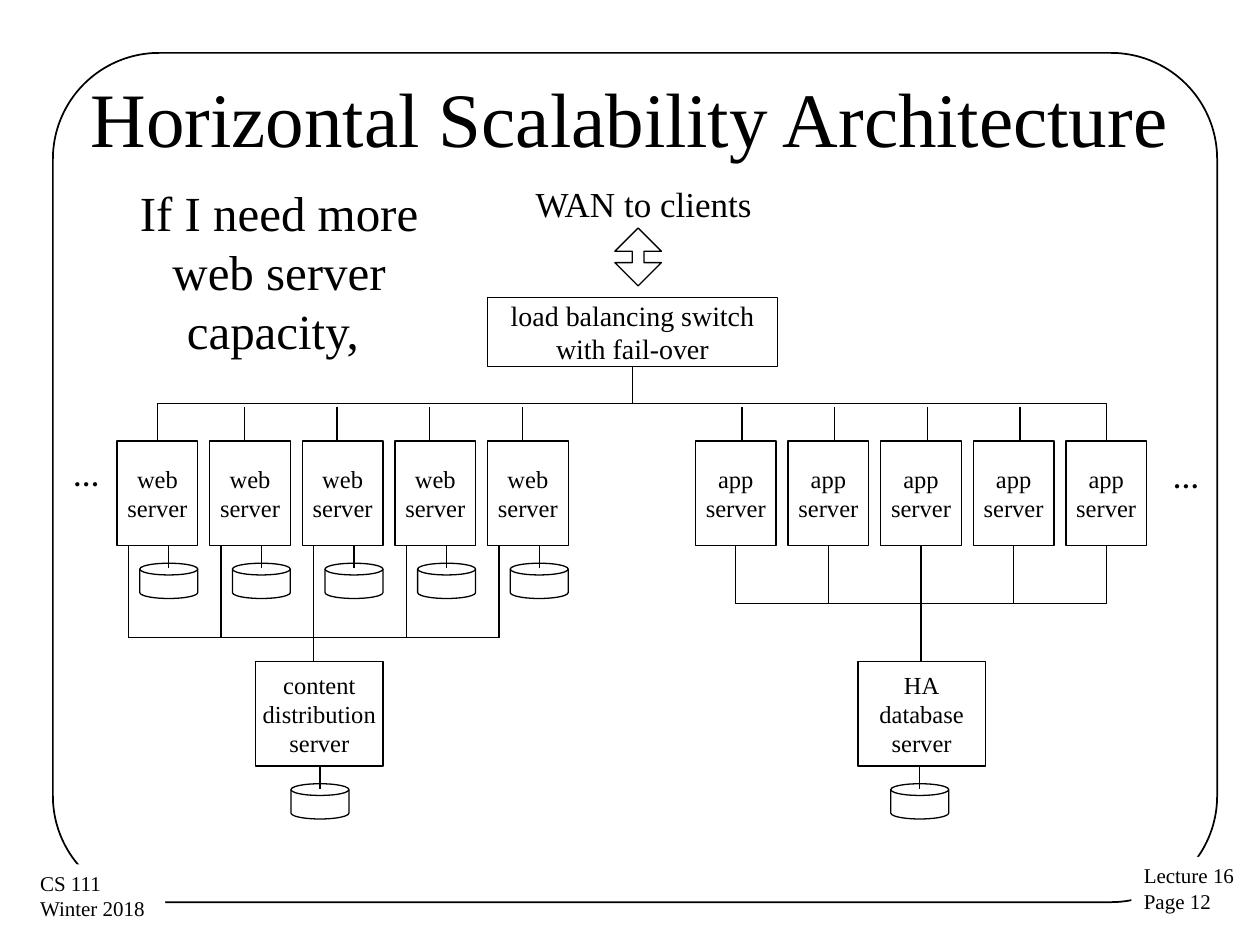
from lxml import etree
from pptx import Presentation
from pptx.dml.color import RGBColor
from pptx.enum.shapes import MSO_CONNECTOR, MSO_SHAPE
from pptx.enum.text import MSO_ANCHOR, PP_ALIGN
from pptx.oxml.ns import qn
from pptx.util import Inches, Pt

BLACK = RGBColor(0, 0, 0)
WHITE = RGBColor(255, 255, 255)
FONT = "Times New Roman"
RECT, ROUND = MSO_SHAPE.RECTANGLE, MSO_SHAPE.ROUNDED_RECTANGLE
DISK, ARROW = MSO_SHAPE.FLOWCHART_MAGNETIC_DISK, MSO_SHAPE.UP_DOWN_ARROW
STRAIGHT, ELBOW = MSO_CONNECTOR.STRAIGHT, MSO_CONNECTOR.ELBOW
LEFT, CENTER = PP_ALIGN.LEFT, PP_ALIGN.CENTER
TOP, MIDDLE = MSO_ANCHOR.TOP, MSO_ANCHOR.MIDDLE
COUNT, PITCH = 5, 0.735
BOX_W, BOX_H = 0.64, 0.83


def write(sp, text, size, align=LEFT, anchor=TOP, wrap=False, inset=(0.11, 0.06), bold=False):
    """Fill a shape with formatted text."""
    tf = sp.text_frame
    tf.text = text
    tf.word_wrap = wrap
    tf.vertical_anchor = anchor
    tf.margin_left = tf.margin_right = Inches(inset[0])
    tf.margin_top = tf.margin_bottom = Inches(inset[1])
    for p in tf.paragraphs:
        p.alignment = align
        for r in p.runs:
            r.font.name = FONT
            r.font.size = Pt(size)
            r.font.bold = bold
            r.font.color.rgb = BLACK


def add_text(s, x, y, w, h, text, size, **style):
    """Add a text box."""
    sp = s.shapes.add_textbox(Inches(x), Inches(y), Inches(w), Inches(h))
    write(sp, text, size, **style)


def add_shape(s, kind, x, y, w, h, weight=0.75):
    """Add an unfilled preset shape with a black outline."""
    sp = s.shapes.add_shape(kind, Inches(x), Inches(y), Inches(w), Inches(h))
    sp.shadow.inherit = False
    sp.fill.background()
    sp.line.color.rgb = BLACK
    sp.line.width = Pt(weight)
    return sp


def add_node(s, x, y, w, h, text, size=14):
    """Add a labelled box."""
    write(add_shape(s, RECT, x, y, w, h), text, size, align=CENTER, anchor=MIDDLE)


def add_line(s, x1, y1, x2, y2, kind=STRAIGHT):
    """Add a thin black connector."""
    c = s.shapes.add_connector(kind, Inches(x1), Inches(y1), Inches(x2), Inches(y2))
    c.line.color.rgb = BLACK
    c.line.width = Pt(0.75)
    etree.SubElement(c._element.spPr, qn("a:effectLst"))
    return c


def add_riser(s, x1, y1, x2, y2):
    """Add an elbow connector that leaves upwards and turns halfway."""
    cx, cy = (x1 + x2) / 2, (y1 + y2) / 2
    side = 1 if x2 > x1 else -1
    dx, dy = side * (y1 - y2) / 2, abs(x2 - x1) / 2
    c = add_line(s, cx - dx, cy - dy, cx + dx, cy + dy, ELBOW)
    degrees = 270 if side > 0 else 90
    c._element.spPr.find(qn("a:xfrm")).set("rot", str(degrees * 60000))


def add_disk(s, x, y):
    """Add a disk hanging from a box whose lower edge is at y."""
    add_shape(s, DISK, x, y + 0.14, 0.46, 0.28)
    add_line(s, x + 0.23, y + 0.18, x + 0.23, y)


def add_frame(s, x, y, w, h):
    """Add the rounded border and the two footers that interrupt it."""
    add_shape(s, ROUND, x, y, w, h, 1).adjustments[0] = 0.125
    footers = [(x + 8.56, y + 6.38, 0.93, "Lecture 16\nPage 12"),
               (x - 0.2, y + 6.44, 1.09, "CS 111\nWinter 2018")]
    for left, top, width, text in footers:
        sp = add_shape(s, RECT, left, top, width, 0.51)
        sp.fill.solid()
        sp.fill.fore_color.rgb = WHITE
        sp.line.fill.background()
        write(sp, text, 12, inset=(0.1, 0.05))


def add_switch(s, x, y, w, h):
    """Add the load balancer, its link to clients and its outer branches."""
    add_text(s, x + 0.27, y - 0.97, 1.95, 0.45, "WAN to clients", 20)
    add_shape(s, ARROW, x + 1.01, y - 0.55, 0.37, 0.46).adjustments[1] = 0.249
    add_node(s, x, y, w, h, "load balancing switch\nwith fail-over", 16)
    for end in (1.25, 8.78):
        add_riser(s, end, 3.5, x + w / 2, y + h)


def add_servers(s, x, y, label, first_stub):
    """Add a row of server boxes and the inner stubs above it."""
    for i in range(COUNT):
        add_node(s, x + i * PITCH, y, BOX_W, BOX_H, label + "\nserver")
    for i in range(COUNT - 1):
        stub = first_stub + i * PITCH
        add_line(s, stub, y, stub, y - 0.27)


def add_web_tier(s, x, y):
    """Add web servers with local disks and their content server."""
    add_servers(s, x, y, "web", x + 1.01)
    base, bus = y + BOX_H, y + 1.56
    drops = [x + 0.09 + i * PITCH for i in range(COUNT)]
    for drop in drops:
        add_disk(s, drop + 0.09, base)
        add_line(s, drop, bus, drop, base)
    add_line(s, drops[0], bus, drops[-1], bus)
    add_line(s, drops[2], y + 1.75, drops[2], bus)
    add_node(s, x + 1.1, y + 1.75, 1.01, BOX_H, "content\ndistribution\nserver")
    add_disk(s, x + 1.38, y + 2.58)
    add_text(s, x - 0.46, y + 0.09, 0.44, 0.37, "…", 15, bold=True)


def add_app_tier(s, x, y):
    """Add app servers joined to their shared database server."""
    add_servers(s, x, y, "app", x + 0.37)
    base, hub = y + BOX_H, x + BOX_W / 2 + 2 * PITCH
    for i in (0, 1, 3, 4):
        add_riser(s, hub, y + 1.75, x + BOX_W / 2 + i * PITCH, base)
    add_line(s, hub, y + 1.75, hub, base)
    add_node(s, x + 1.29, y + 1.75, 1.01, BOX_H, "HA\ndatabase\nserver")
    add_disk(s, x + 1.55, y + 2.58)
    add_text(s, x + 3.68, y + 0.11, 0.44, 0.37, "…", 15, bold=True)


def main():
    """Build the slide and save it."""
    prs = Presentation()
    prs.slide_width, prs.slide_height = Inches(10), Inches(7.5)
    s = prs.slides.add_slide(prs.slide_layouts[6])
    add_frame(s, 0.42, 0.42, 9.24, 6.74)
    add_text(s, 0.5, 0.3, 9, 1.25, "Horizontal Scalability Architecture", 44,
             align=CENTER, anchor=MIDDLE, wrap=True, inset=(0.1, 0.05))
    add_switch(s, 3.87, 2.36, 2.3, 0.55)
    add_web_tier(s, 0.93, 3.5)
    add_app_tier(s, 5.52, 3.5)
    add_text(s, 0.78, 1.4, 2.87, 1.51, "If I need more web server capacity, ", 28,
             align=CENTER, wrap=True, inset=(0.1, 0.05))
    prs.save("out.pptx")


if __name__ == "__main__":
    main()
